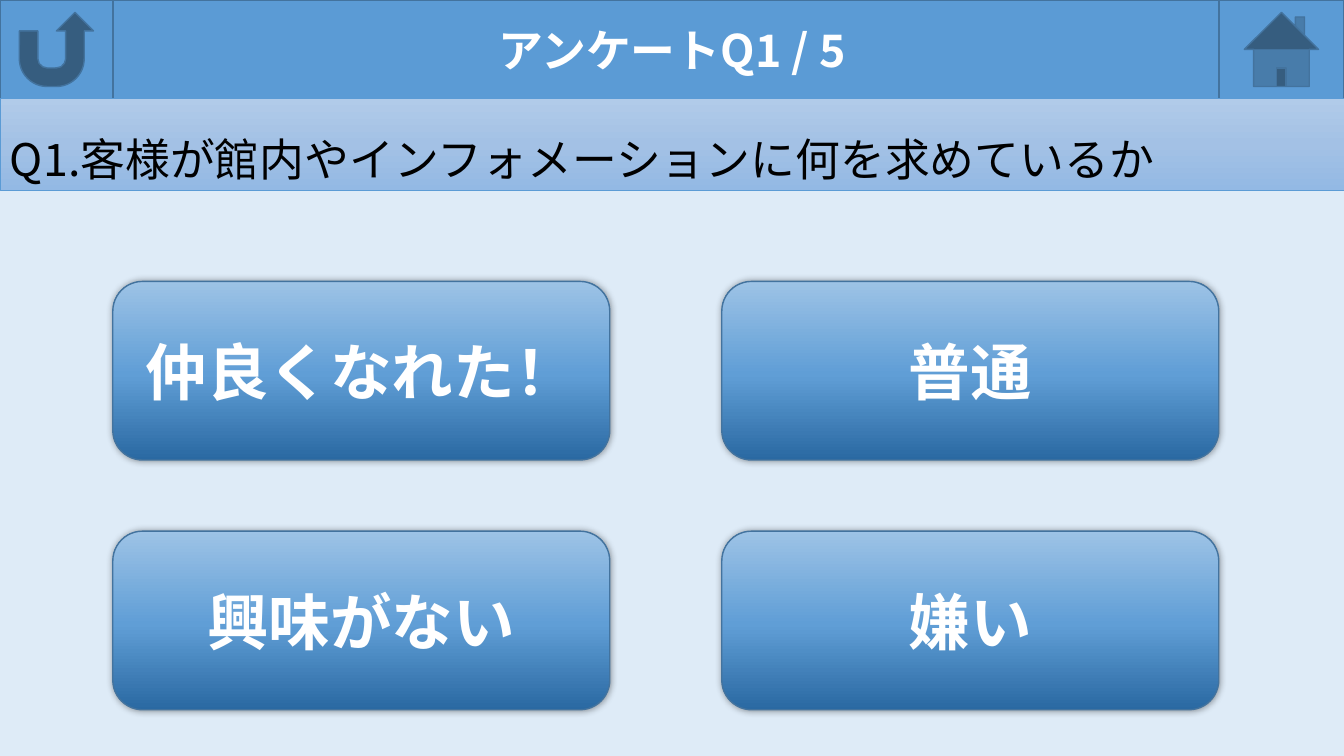
from copy import deepcopy
from lxml import etree
from pptx import Presentation
from pptx.dml.color import RGBColor
from pptx.enum.shapes import MSO_SHAPE
from pptx.enum.text import MSO_ANCHOR, PP_ALIGN
from pptx.oxml.ns import qn
from pptx.util import Pt

RECT = MSO_SHAPE.RECTANGLE
ROUND = MSO_SHAPE.ROUNDED_RECTANGLE
HOME = MSO_SHAPE.ACTION_BUTTON_HOME
BACK = MSO_SHAPE.ACTION_BUTTON_RETURN
MIDDLE = MSO_ANCHOR.MIDDLE
LEFT, CENTER = PP_ALIGN.LEFT, PP_ALIGN.CENTER

FONT = "Noto Sans CJK JP"
WIDE, HIGH = 960, 540
BLUE, EDGE, WHITE = "5B9BD5", "43739E", "FFFFFF"
GLOSS = [(0, "2A69A2"), (0.48, "609ED6"), (1, "9DC3E6")]
BAND = [(0, "B1CBE9"), (0.5, "A3C1E5"), (1, "93B9E4")]
CHOICES = [["仲良くなれた！", "普通"], ["興味がない", "嫌い"]]


def color(code):
    return RGBColor.from_string(code)


def add_box(slide, kind, box, edge=EDGE, weight=1):
    shape = slide.shapes.add_shape(kind, *[Pt(v) for v in box])
    shape.shadow.inherit = False
    shape.fill.solid()
    shape.fill.fore_color.rgb = color(BLUE)
    shape.line.color.rgb = color(edge)
    shape.line.width = Pt(weight)
    return shape


def shade(shape, stops, angle):
    shape.fill.gradient()
    shape.fill.gradient_angle = angle
    group = shape.element.spPr.find(qn("a:gradFill")).find(qn("a:gsLst"))
    group.append(deepcopy(group[0]))
    for stop, (place, code) in zip(shape.fill.gradient_stops, stops):
        stop.position = place
        stop.color.rgb = color(code)


def glow(shape):
    effects = shape.element.spPr.find(qn("a:effectLst"))
    outer = etree.SubElement(effects, qn("a:outerShdw"), blurRad=str(Pt(5)),
                             dist="0", dir="0", algn="ctr", rotWithShape="0")
    black = etree.SubElement(outer, qn("a:srgbClr"), val="000000")
    etree.SubElement(black, qn("a:alpha"), val="40000")


def write(shape, text, size, code, bold=False, align=CENTER):
    frame = shape.text_frame
    frame.text = text
    frame.word_wrap = True
    frame.vertical_anchor = MIDDLE
    para = frame.paragraphs[0]
    para.alignment = align
    run = para.runs[0]
    run.font.size = Pt(size)
    run.font.bold = bold
    run.font.color.rgb = color(code)
    run.font.name = FONT
    etree.SubElement(run.font._element, qn("a:ea"), typeface=FONT)
    return para


def add_header(slide, box, title):
    left, top, width, height = box
    write(add_box(slide, RECT, box), title, 32, WHITE, True)
    home, back = 89.3, 80.6
    add_box(slide, HOME, (left + width - home, top, home, height))
    add_box(slide, BACK, (left, top, back, height))


def add_question(slide, box, text):
    band = add_box(slide, RECT, box, BLUE, 0.5)
    shade(band, BAND, 270)
    write(band, text, 32, "000000", align=LEFT).line_spacing = 1.5


def add_choices(slide, box, rows):
    left, top, width, height = box
    wide, high = 355, 127.6
    for r, row in enumerate(rows):
        for c, label in enumerate(row):
            x = left + c * (width - wide)
            y = top + r * (height - high)
            button = add_box(slide, ROUND, (x, y, wide, high))
            shade(button, GLOSS, 90)
            glow(button)
            write(button, label, 44, WHITE, True)


def main():
    deck = Presentation()
    deck.slide_width, deck.slide_height = Pt(WIDE), Pt(HIGH)
    slide = deck.slides.add_slide(deck.slide_layouts[6])
    back = slide.background.fill
    back.solid()
    back.fore_color.rgb = color("DEEBF7")
    bar = 70.6
    add_header(slide, (0, 0, WIDE, bar), "アンケートQ1 / 5")
    add_choices(slide, (80.6, 201, 790, 306), CHOICES)
    add_question(slide, (0, bar, WIDE, 65.5),
                 "Q1.客様が館内やインフォメーションに何を求めているか")
    deck.save("out.pptx")


if __name__ == "__main__":
    main()
